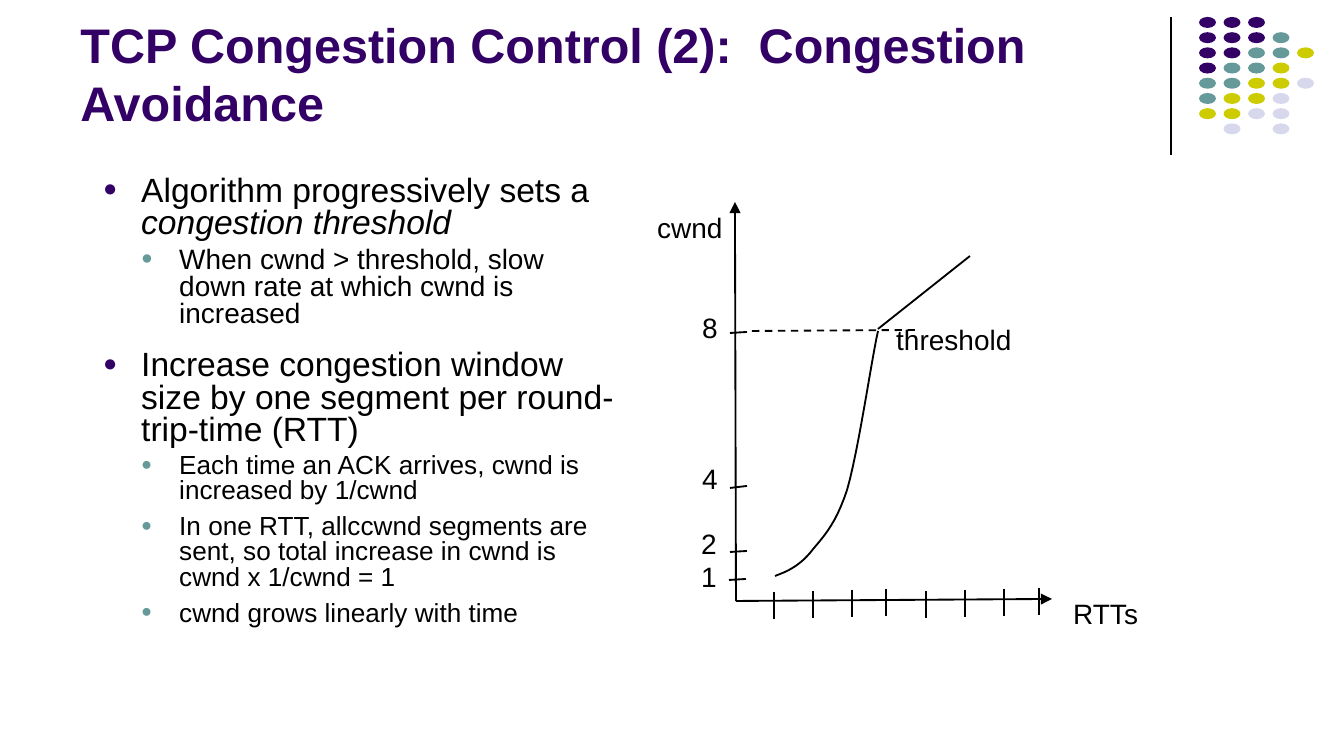
from lxml.etree import SubElement
from pptx import Presentation
from pptx.dml.color import RGBColor
from pptx.enum.dml import MSO_LINE_DASH_STYLE as DASH
from pptx.enum.shapes import MSO_CONNECTOR, MSO_SHAPE
from pptx.enum.text import MSO_ANCHOR, MSO_AUTO_SIZE, PP_ALIGN
from pptx.oxml.ns import qn
from pptx.util import Pt

SCALE = 914400 / 134.4
BLACK, PURPLE, TEAL, OLIVE, LILAC = "000000", "330066", "669999", "CCCC00", "D8D8EC"
DOT_COLOURS = {"P": PURPLE, "T": TEAL, "O": OLIVE, "L": LILAC}
DOT_ROWS = ["PPP", "PPPT", "PPTTO", "PTTO", "TTOOL", "TOOL", "OOLL", " L L"]

# level, size, space before, runs as (text, italic)
BULLETS = [
    (0, 18, 0, [("Algorithm progressively sets a ", False), ("congestion threshold", True)]),
    (1, 15, 3.7, [("When cwnd > threshold, slow down rate at which cwnd is increased", False)]),
    (0, 18, 12, [("Increase congestion window size by one segment per round-trip-time (RTT)", False)]),
    (1, 14, 3.5, [("Each time an ACK arrives, cwnd is increased by 1/cwnd", False)]),
    (1, 14, 6, [("In one RTT, allccwnd segments are sent, so total increase in cwnd is "
                 "cwnd x 1/cwnd = 1", False)]),
    (1, 14, 6, [("cwnd grows linearly with time", False)]),
]
LABELS = [
    ("RTTs", 1060, 590, 95), ("cwnd", 644, 204, 91), ("threshold", 883, 316, 141),
    ("1", 688, 553, 42), ("2", 688, 520, 42), ("4", 689, 455, 42), ("8", 689, 304, 42),
]
CWND_TICKS = [(729, 580, 579), (730, 552, 551), (730, 488, 486), (730, 333, 332)]
RTT_TICKS = [(774, 592), (813, 591), (852, 590), (886, 589),
             (926, 591), (965, 590), (1004, 589), (1039, 588)]
TICK_LENGTH = 27
CURVE_START = (775, 576)
CURVE_SEGMENTS = [
    ((786, 572), (798, 567), (810, 553)),
    ((821, 539), (835, 527), (847, 490)),
    ((858, 453), (872, 357), (878, 331)),
]


def px(length):
    return round(length * SCALE)


def colour(value):
    return RGBColor.from_string(value)


def apply_format(target, values):
    for name, value in values.items():
        setattr(target, name, value)


def format_font(font, size, value=BLACK, **extra):
    apply_format(font, {"name": "Arial", "size": Pt(size), **extra})
    font.color.rgb = colour(value)


def add_line(slide, x1, y1, x2, y2, width=1, dash=None, arrow=False):
    line = slide.shapes.add_connector(MSO_CONNECTOR.STRAIGHT, px(x1), px(y1), px(x2), px(y2))
    line.line.width = Pt(width)
    line.line.color.rgb = colour(BLACK)
    if dash:
        line.line.dash_style = dash
    properties = line._element.spPr
    if arrow:
        SubElement(properties.find(qn("a:ln")), qn("a:tailEnd"), type="triangle")
    SubElement(properties, qn("a:effectLst"))


def add_dots(slide):
    for row, letters in enumerate(DOT_ROWS):
        for column, letter in enumerate(letters):
            if letter == " ":
                continue
            dot = slide.shapes.add_shape(
                MSO_SHAPE.OVAL, px(1199 + 24.5 * column), px(17 + 15.2 * row), px(17), px(11))
            dot.shadow.inherit = False
            dot.fill.solid()
            dot.fill.fore_color.rgb = colour(DOT_COLOURS[letter])
            dot.line.fill.background()


def add_title(slide):
    title = slide.shapes.title
    apply_format(title, {"left": px(67), "top": px(43), "width": px(1109), "height": px(95)})
    frame = title.text_frame
    frame.text = "TCP Congestion Control (2):  Congestion Avoidance"
    apply_format(frame, {"vertical_anchor": MSO_ANCHOR.BOTTOM, "word_wrap": True,
                         "auto_size": MSO_AUTO_SIZE.NONE})
    paragraph = frame.paragraphs[0]
    paragraph.alignment = PP_ALIGN.LEFT
    format_font(paragraph.runs[0].font, 26, PURPLE, bold=True)


def add_bullet(paragraph, level):
    properties = paragraph._p.get_or_add_pPr()
    properties.set("marL", str(px(38 * (level + 1))))
    properties.set("indent", str(-px(38)))
    bullet_colour = SubElement(properties, qn("a:buClr"))
    SubElement(bullet_colour, qn("a:srgbClr"), val=(PURPLE, TEAL)[level])
    SubElement(properties, qn("a:buSzPct"), val="70000")
    SubElement(properties, qn("a:buFont"), typeface="Arial")
    SubElement(properties, qn("a:buChar"), char="●")


def add_bullet_list(slide):
    frame = slide.shapes.add_textbox(px(90), px(170), px(542), px(534)).text_frame
    frame.word_wrap = True
    for index, (level, size, space, runs) in enumerate(BULLETS):
        paragraph = frame.add_paragraph() if index else frame.paragraphs[0]
        add_bullet(paragraph, level)
        apply_format(paragraph, {"level": level, "line_spacing": 0.8, "space_before": Pt(space)})
        for text, italic in runs:
            run = paragraph.add_run()
            run.text = text
            format_font(run.font, size, italic=italic)


def add_label(slide, text, left, top, width):
    frame = slide.shapes.add_textbox(px(left), px(top), px(width), px(47)).text_frame
    apply_format(frame, {"text": text, "word_wrap": True, "margin_right": 0,
                         "auto_size": MSO_AUTO_SIZE.NONE})
    format_font(frame.paragraphs[0].runs[0].font, 15)


def curve_points(steps=12):
    """Sample the cubic Bézier segments of the slow-start curve."""
    start = CURVE_START
    for control1, control2, end in CURVE_SEGMENTS:
        for step in range(1, steps + 1):
            t = step / steps
            u = 1 - t
            yield tuple(px(u**3 * a + 3 * u * u * t * b + 3 * u * t * t * c + t**3 * d)
                        for a, b, c, d in zip(start, control1, control2, end))
        start = end


def add_curve(slide):
    builder = slide.shapes.build_freeform(*map(px, CURVE_START))
    builder.add_line_segments(list(curve_points()), close=False)
    curve = builder.convert_to_shape()
    curve.shadow.inherit = False
    curve.fill.background()
    curve.line.width = Pt(1)
    curve.line.color.rgb = colour(BLACK)


def add_graph(slide):
    add_line(slide, 736, 601, 735, 202, arrow=True)
    add_line(slide, 736, 601, 1052, 599, arrow=True)
    for left, start, end in CWND_TICKS:
        add_line(slide, left, start, left + 17, end)
    for x, top in RTT_TICKS:
        add_line(slide, x, top, x, top + TICK_LENGTH)
    add_line(slide, 752, 331, 916, 330, dash=DASH.DASH)
    add_line(slide, 878, 329, 970, 256)
    for label in LABELS:
        add_label(slide, *label)
    add_curve(slide)


def main():
    presentation = Presentation()
    apply_format(presentation, {"slide_width": px(1344), "slide_height": px(756)})
    slide = presentation.slides.add_slide(presentation.slide_layouts[5])
    add_line(slide, 1171, 17, 1171, 155, width=0.75)
    add_dots(slide)
    add_title(slide)
    add_bullet_list(slide)
    add_graph(slide)
    presentation.save("out.pptx")


if __name__ == "__main__":
    main()
